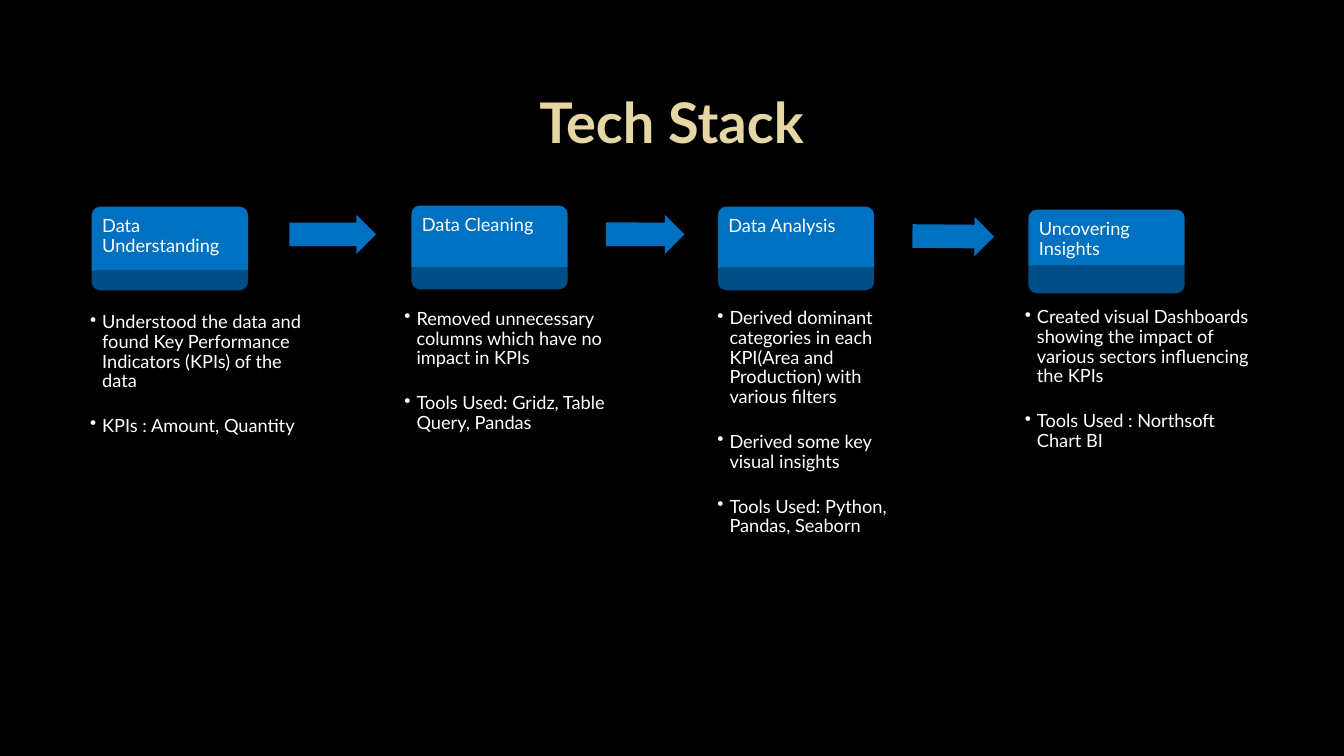
from dataclasses import dataclass

from lxml import etree
from pptx import Presentation
from pptx.dml.color import RGBColor
from pptx.enum import shapes, text
from pptx.oxml import ns
from pptx.shapes.autoshape import Shape
from pptx.slide import Slide
from pptx.util import Inches, Pt


@dataclass(frozen=True)
class Theme:
    font: str = "Lato"
    background: RGBColor = RGBColor(0x00, 0x00, 0x00)
    accent: RGBColor = RGBColor(0x00, 0x70, 0xC0)
    body: RGBColor = RGBColor(0xFF, 0xFF, 0xFF)
    title: RGBColor = RGBColor(0xE5, 0xD6, 0xA4)
    title_size: int = 40
    body_size: int = 13
    panel_opacity: int = 30


@dataclass(frozen=True)
class Box:
    left: float
    top: float
    width: float
    height: float


@dataclass(frozen=True)
class Stage:
    heading: str
    card_left: float
    card_top: float
    panel: Box
    bullets: tuple[str, ...]


@dataclass(frozen=True)
class Arrow:
    box: Box
    rotation: float


THEME = Theme()
CARD_WIDTH, CARD_HEIGHT = 1.55, 0.83
CORNER = 0.1
BULLET_INDENT = 0.12

STAGES = (
    Stage("Data Understanding", 0.91, 2.05, Box(0.72, 2.68, 2.58, 4.15), (
        "Understood the data and found Key Performance Indicators (KPIs) of the data",
        "KPIs : Amount, Quantity",
    )),
    Stage("Data Cleaning", 4.08, 2.04, Box(3.84, 2.65, 2.51, 4.18), (
        "Removed unnecessary columns which have no impact in KPIs",
        "Tools Used: Gridz, Table Query, Pandas",
    )),
    Stage("Data Analysis", 7.12, 2.05, Box(6.95, 2.65, 2.3, 4.15), (
        "Derived dominant categories in each KPI(Area and Production) with various filters",
        "Derived some key visual insights",
        "Tools Used: Python, Pandas, Seaborn",
    )),
    Stage("Uncovering Insights", 10.2, 2.08, Box(9.99, 2.63, 2.62, 4.05), (
        "Created visual Dashboards showing the impact of various sectors influencing the KPIs",
        "Tools Used : Northsoft Chart BI",
    )),
)

ARROWS = (
    Arrow(Box(2.87, 2.13, 0.86, 0.39), 359.9),
    Arrow(Box(6.01, 2.13, 0.78, 0.39), 0.1),
    Arrow(Box(9.05, 2.15, 0.81, 0.39), 0.5),
)


def add_filled_shape(slide: Slide, kind: shapes.MSO_SHAPE, box: Box, color: RGBColor) -> Shape:
    shape = slide.shapes.add_shape(
        kind, Inches(box.left), Inches(box.top), Inches(box.width), Inches(box.height))
    shape.shadow.inherit = False
    shape.fill.solid()
    shape.fill.fore_color.rgb = color
    shape.line.fill.background()
    return shape


def write_paragraphs(shape: Shape, lines: tuple[str, ...], inset: float,
                     top_inset: float, space_after: float) -> None:
    frame = shape.text_frame
    frame.word_wrap = True
    frame.vertical_anchor = text.MSO_ANCHOR.TOP
    frame.margin_left = frame.margin_right = frame.margin_bottom = Inches(inset)
    frame.margin_top = Inches(top_inset)
    frame.text = "\n".join(lines)
    for paragraph in frame.paragraphs:
        paragraph.alignment = text.PP_ALIGN.LEFT
        paragraph.line_spacing = 0.9
        paragraph.space_after = Pt(space_after)
        for run in paragraph.runs:
            run.font.name = THEME.font
            run.font.size = Pt(THEME.body_size)
            run.font.color.rgb = THEME.body


def add_bullets(shape: Shape) -> None:
    for paragraph in shape.text_frame.paragraphs:
        properties = paragraph._p.get_or_add_pPr()
        properties.set("marL", str(Inches(BULLET_INDENT)))
        properties.set("indent", str(-Inches(BULLET_INDENT)))
        etree.SubElement(properties, ns.qn("a:buChar")).set("char", "•")


def set_opacity(shape: Shape, percent: int) -> None:
    color = shape._element.spPr.find(ns.qn("a:solidFill"))[0]
    etree.SubElement(color, ns.qn("a:alpha")).set("val", str(percent * 1000))


def add_stage(slide: Slide, stage: Stage) -> None:
    """Draw the heading card and the translucent panel that overlaps its foot."""
    rounded = shapes.MSO_SHAPE.ROUNDED_RECTANGLE
    card_box = Box(stage.card_left, stage.card_top, CARD_WIDTH, CARD_HEIGHT)
    card = add_filled_shape(slide, rounded, card_box, THEME.accent)
    write_paragraphs(card, (stage.heading,), inset=0.08, top_inset=0.08, space_after=0)

    panel = add_filled_shape(slide, rounded, stage.panel, THEME.background)
    set_opacity(panel, THEME.panel_opacity)
    write_paragraphs(panel, stage.bullets, inset=0.1, top_inset=0.35, space_after=18)
    add_bullets(panel)
    for shape in (card, panel):
        shape.adjustments[0] = CORNER


def add_arrow(slide: Slide, arrow: Arrow) -> None:
    shape = add_filled_shape(slide, shapes.MSO_SHAPE.RIGHT_ARROW, arrow.box, THEME.accent)
    shape.adjustments[0] = 0.6
    shape.adjustments[1] = 0.5
    shape.rotation = arrow.rotation


def set_title(slide: Slide, wording: str) -> None:
    title = slide.shapes.title
    title.left, title.top = Inches(1), Inches(0.67)
    title.width, title.height = Inches(11.32), Inches(1.06)
    title.text_frame.text = wording
    title.text_frame.vertical_anchor = text.MSO_ANCHOR.MIDDLE
    paragraph = title.text_frame.paragraphs[0]
    paragraph.alignment = text.PP_ALIGN.CENTER
    font = paragraph.runs[0].font
    font.name = THEME.font
    font.size = Pt(THEME.title_size)
    font.bold = True
    font.color.rgb = THEME.title


def main() -> None:
    presentation = Presentation()
    presentation.slide_width = Inches(13.33)
    presentation.slide_height = Inches(7.5)
    slide = presentation.slides.add_slide(presentation.slide_layouts.get_by_name("Title Only"))
    slide.background.fill.solid()
    slide.background.fill.fore_color.rgb = THEME.background
    set_title(slide, "Tech Stack")
    for stage in STAGES:
        add_stage(slide, stage)
    for arrow in ARROWS:
        add_arrow(slide, arrow)
    presentation.save("out.pptx")


if __name__ == "__main__":
    main()
